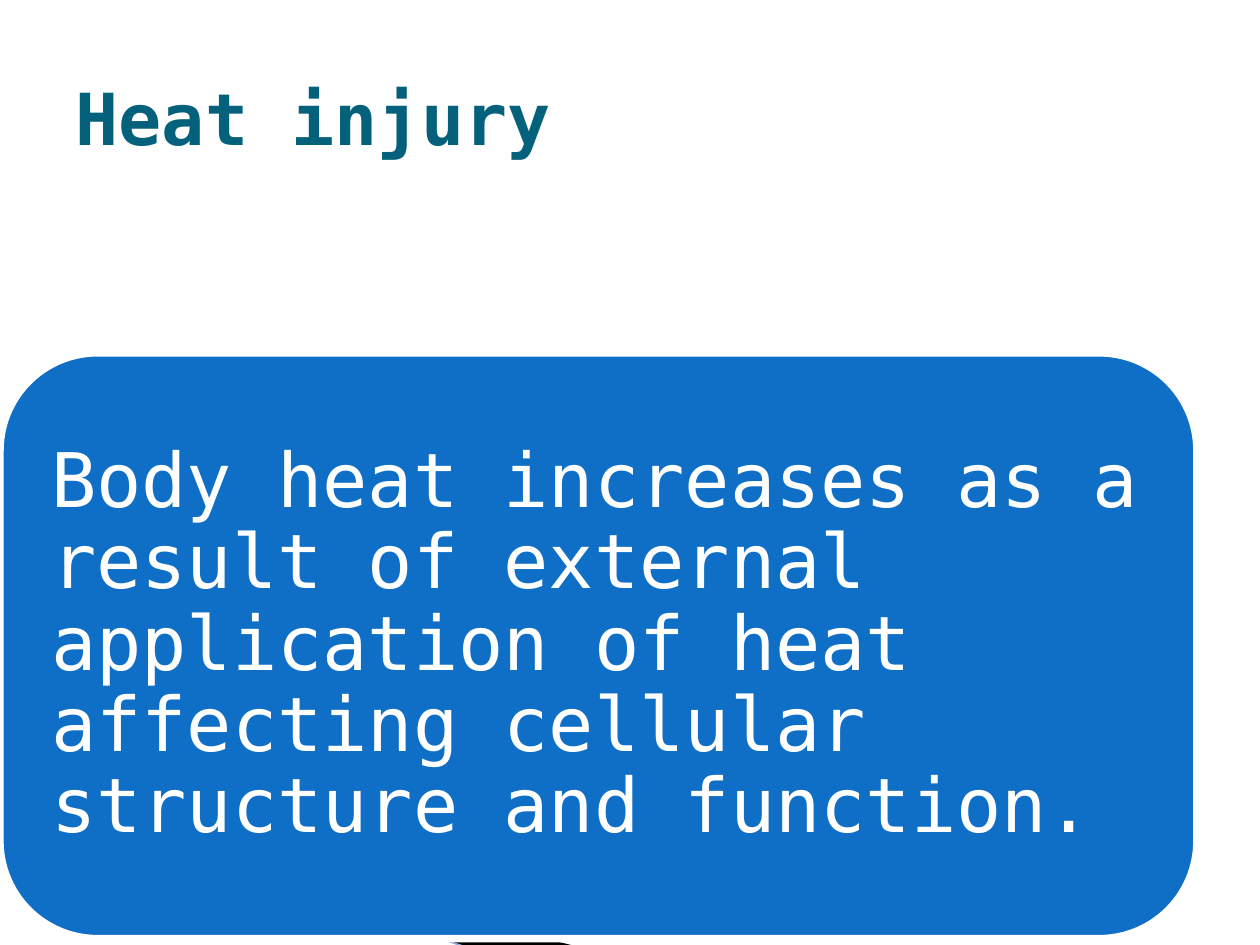
import pptx
import pptx.dml.color
import pptx.enum.shapes
import pptx.enum.text
import pptx.oxml
import pptx.oxml.ns
import pptx.util
from dataclasses import dataclass

Inches = pptx.util.Inches
Pt = pptx.util.Pt


@dataclass(frozen=True)
class Theme:
    font: str = "DejaVu Sans Mono"
    title_size: int = 41
    body_size: int = 43
    title: str = "04617B"
    panel: str = "0F6FC6"
    white: str = "FFFFFF"
    corner: str = "000000"
    corner_line: str = "94ABDC"


THEME = Theme()


def rgb(value):
    return pptx.dml.color.RGBColor.from_string(value)


def style_text(paragraph, size, color, bold=False):
    paragraph.alignment = pptx.enum.text.PP_ALIGN.LEFT
    for run in paragraph.runs:
        run.font.name = THEME.font
        run.font.size = Pt(size)
        run.font.bold = bold
        run.font.color.rgb = rgb(color)


def add_corner(slide):
    """Draw the dark wedge and the thin line that edge the lower left corner."""
    points = [(0.53, 6.49), (4.57, 7.51), (3.72, 7.52), (0.54, 6.5)]
    corners = [(Inches(x), Inches(y)) for x, y in points]
    builder = slide.shapes.build_freeform(*corners[0])
    builder.add_line_segments(corners[1:], close=True)
    wedge = builder.convert_to_shape()
    wedge.shadow.inherit = False
    wedge.fill.solid()
    wedge.fill.fore_color.rgb = rgb(THEME.corner)
    wedge.line.fill.background()

    edge = slide.shapes.add_connector(
        pptx.enum.shapes.MSO_CONNECTOR.STRAIGHT,
        Inches(-0.01), Inches(6.33), Inches(3.71), Inches(7.52))
    edge.line.color.rgb = rgb(THEME.corner_line)
    edge.line.width = Pt(0.95)
    properties = edge._element.spPr
    properties.append(pptx.oxml.parse_xml(
        f"<a:effectLst {pptx.oxml.ns.nsdecls('a')}/>"))


def add_panel(slide, text, left, top, width, height):
    panel = slide.shapes.add_shape(
        pptx.enum.shapes.MSO_SHAPE.ROUNDED_RECTANGLE,
        Inches(left), Inches(top), Inches(width), Inches(height))
    panel.shadow.inherit = False
    panel.fill.solid()
    panel.fill.fore_color.rgb = rgb(THEME.panel)
    panel.line.color.rgb = rgb(THEME.white)
    panel.line.width = Pt(4.33)

    frame = panel.text_frame
    frame.word_wrap = True
    frame.vertical_anchor = pptx.enum.text.MSO_ANCHOR.MIDDLE
    frame.margin_left = frame.margin_right = Inches(0.18)
    frame.margin_top = frame.margin_bottom = Inches(0.18)
    frame.text = text
    paragraph = frame.paragraphs[0]
    paragraph.line_spacing = 0.9
    style_text(paragraph, THEME.body_size, THEME.white)


def set_title(slide, text):
    title = slide.shapes.title
    title.left, title.top = Inches(0.5), Inches(0.3)
    title.width, title.height = Inches(9), Inches(1.25)
    title.text_frame.text = text
    title.text_frame.vertical_anchor = pptx.enum.text.MSO_ANCHOR.MIDDLE
    style_text(title.text_frame.paragraphs[0], THEME.title_size, THEME.title, bold=True)


def main():
    presentation = pptx.Presentation()
    presentation.slide_width = Inches(10)
    presentation.slide_height = Inches(7.5)
    title_only = presentation.slide_layouts[5]
    slide = presentation.slides.add_slide(title_only)

    # Corner decoration, behind the panel
    add_corner(slide)

    # Definition panel
    add_panel(slide, "Body heat increases as a result of external application of heat "
              "affecting cellular structure and function.", 0, 2.8, 9.5, 4.65)

    # Heading
    set_title(slide, "Heat injury")

    presentation.save("out.pptx")


if __name__ == "__main__":
    main()
